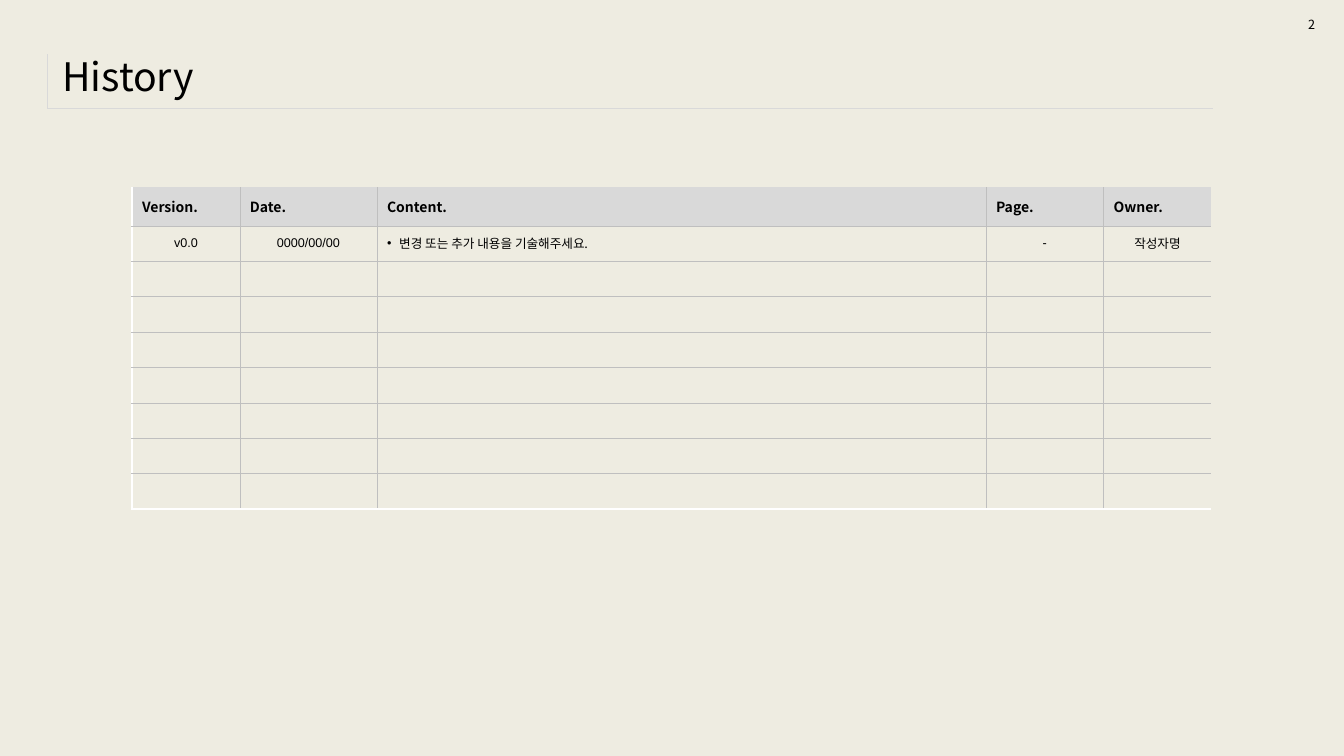
from dataclasses import dataclass
from typing import Optional

from lxml.etree import SubElement
from pptx import Presentation
from pptx.dml.color import RGBColor
from pptx.enum.text import MSO_ANCHOR, PP_ALIGN
from pptx.oxml.ns import qn
from pptx.table import Table, _Cell
from pptx.text.text import TextFrame
from pptx.util import Pt

COLORS = {
    "background": "EEECE1",
    "text": "000000",
    "header": "D9D9D9",
    "frame": "D9D9D9",
    "grid": "BFBFBF",
    "edge": "FFFFFF",
}
KOREAN = "Noto Sans CJK KR"
LATIN = "Arial"
NO_STYLE = "{2D5ABB26-0587-4C30-8999-92F81FD0307C}"
HEADER_HEIGHT, ROW_HEIGHT, ENTRY_ROWS = 27.4, 25.3, 8


@dataclass(frozen=True)
class Column:
    heading: str
    width: float
    entry: str
    font: str = LATIN
    bulleted: bool = False


@dataclass(frozen=True)
class Line:
    color: str
    width: float


COLUMNS = [
    Column("Version.", 77, "v0.0"),
    Column("Date.", 98, "0000/00/00"),
    Column("Content.", 435, "변경 또는 추가 내용을 기술해주세요.", KOREAN, bulleted=True),
    Column("Page.", 84, "-"),
    Column("Owner.", 77, "작성자명", KOREAN),
]
GRID = Line("grid", 0.25)
EDGE = Line("edge", 1)
FRAME = Line("frame", 0.25)


def write(frame: TextFrame, text: str, *, size: float, font: str = KOREAN,
          bold: bool = False, align: PP_ALIGN = PP_ALIGN.LEFT,
          bulleted: bool = False) -> None:
    paragraph = frame.paragraphs[0]
    paragraph.alignment = align
    if not text:
        # An empty cell keeps its row low only with a small end mark.
        SubElement(paragraph._p, qn("a:endParaRPr"), sz=str(int(size * 100)))
        return
    run = paragraph.add_run()
    run.text = text
    run.font.size = Pt(size)
    run.font.bold = bold
    run.font.color.rgb = RGBColor.from_string(COLORS["text"])
    run.font.name = font
    SubElement(run._r.get_or_add_rPr(), qn("a:ea"), typeface=font)
    if bulleted:
        properties = paragraph._p.get_or_add_pPr()
        indent = Pt(8.64)
        properties.set("marL", str(indent))
        properties.set("indent", str(-indent))
        SubElement(properties, qn("a:buFont"), typeface=LATIN)
        SubElement(properties, qn("a:buChar"), char="•")


def set_borders(cell: _Cell, *, left: Optional[Line] = None, right: Optional[Line] = None,
                top: Optional[Line] = None, bottom: Optional[Line] = None) -> None:
    properties = cell._tc.get_or_add_tcPr()
    for tag, line in (("lnL", left), ("lnR", right), ("lnT", top), ("lnB", bottom)):
        if line:
            border = SubElement(properties, qn(f"a:{tag}"), w=str(Pt(line.width)))
            fill = SubElement(border, qn("a:solidFill"))
            SubElement(fill, qn("a:srgbClr"), val=COLORS[line.color])


def add_plain_table(slide, left: float, top: float, widths: list[float],
                    heights: list[float]) -> Table:
    """Add a table without banding, style fills or style borders."""
    table = slide.shapes.add_table(len(heights), len(widths), Pt(left), Pt(top),
                                   Pt(sum(widths)), Pt(sum(heights))).table
    table.first_row = table.horz_banding = False
    table._tbl.tblPr.find(qn("a:tableStyleId")).text = NO_STYLE
    for column, width in zip(table.columns, widths):
        column.width = Pt(width)
    for row, height in zip(table.rows, heights):
        row.height = Pt(height)
    return table


def add_history(slide) -> None:
    table = add_plain_table(slide, 94.3, 133.9, [column.width for column in COLUMNS],
                            [HEADER_HEIGHT] + [ROW_HEIGHT] * ENTRY_ROWS)
    for row in range(ENTRY_ROWS + 1):
        for index, column in enumerate(COLUMNS):
            cell = table.cell(row, index)
            cell.vertical_anchor = MSO_ANCHOR.MIDDLE
            set_borders(
                cell,
                left=GRID if index else EDGE,
                right=GRID if index < len(COLUMNS) - 1 else None,
                top=GRID if row else None,
                bottom=GRID if row < ENTRY_ROWS else EDGE,
            )
            if row == 0:
                cell.fill.solid()
                cell.fill.fore_color.rgb = RGBColor.from_string(COLORS["header"])
                write(cell.text_frame, column.heading, size=10, bold=True)
                continue
            cell.fill.background()
            if row == 1:
                align = PP_ALIGN.LEFT if column.bulleted else PP_ALIGN.CENTER
                write(cell.text_frame, column.entry, size=9, font=column.font,
                      align=align, bulleted=column.bulleted)
            else:
                write(cell.text_frame, "", size=9)


def add_title(slide) -> None:
    frame_cell = add_plain_table(slide, 33.84, 38.88, [832.3], [38.2]).cell(0, 0)
    set_borders(frame_cell, left=FRAME, bottom=FRAME)
    frame_cell.fill.background()
    title = slide.shapes.title
    title.left, title.top, title.width, title.height = Pt(37.4), Pt(31.7), Pt(899.3), Pt(45.4)
    title.text_frame.vertical_anchor = MSO_ANCHOR.MIDDLE
    write(title.text_frame, "History", size=28)


def add_page_number(slide) -> None:
    number = slide.shapes.add_textbox(Pt(927.4), Pt(8.6), Pt(19.4), Pt(18))
    number.text_frame.word_wrap = False
    write(number.text_frame, "2", size=9)


def main() -> None:
    presentation = Presentation()
    presentation.slide_width, presentation.slide_height = Pt(960), Pt(540)
    slide = presentation.slides.add_slide(presentation.slide_layouts[5])
    slide.background.fill.solid()
    slide.background.fill.fore_color.rgb = RGBColor.from_string(COLORS["background"])
    add_title(slide)
    add_history(slide)
    add_page_number(slide)
    presentation.save("out.pptx")


if __name__ == "__main__":
    main()
